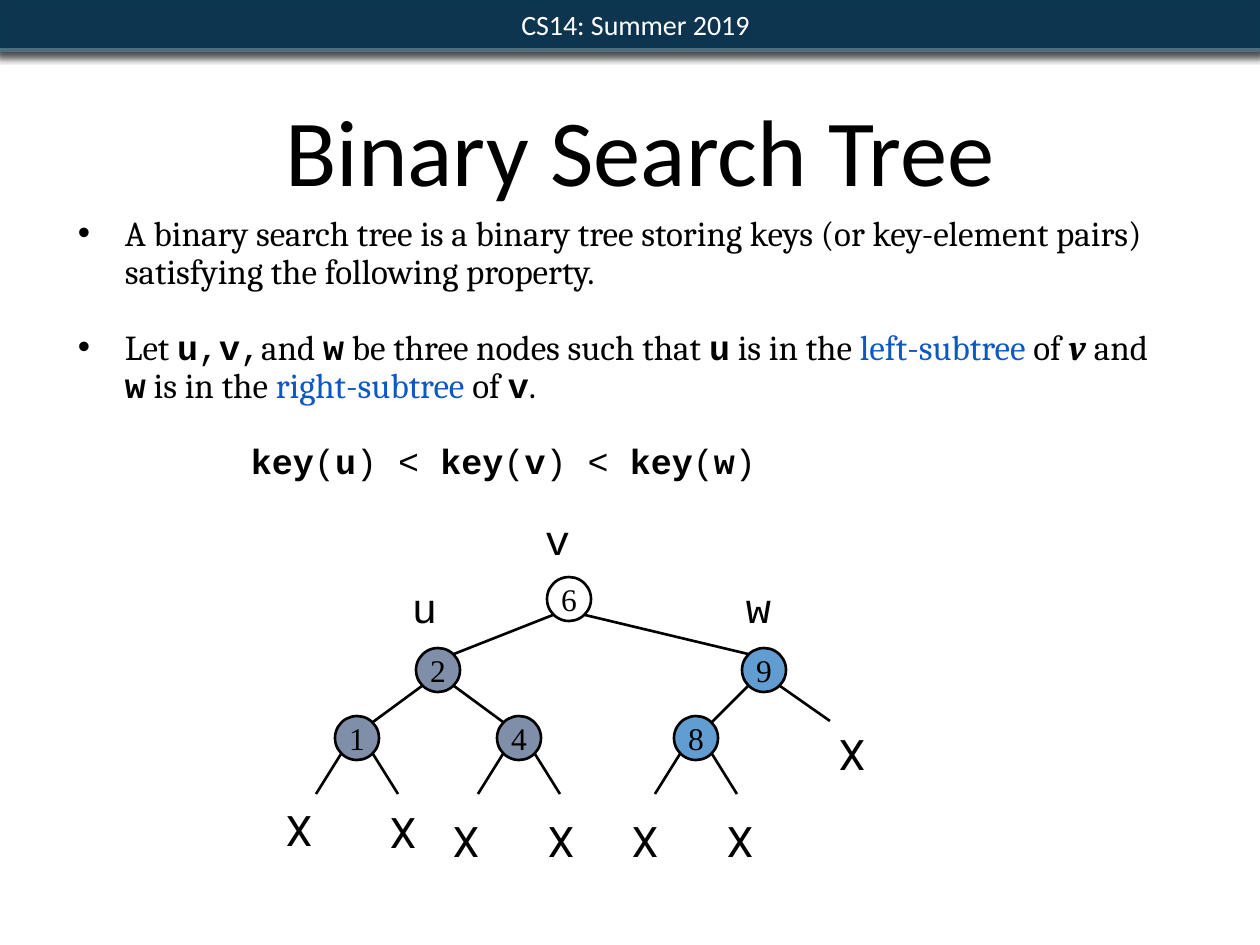
from lxml import etree
from pptx import Presentation, util as u
from pptx.dml.color import RGBColor
from pptx.enum import shapes, text
from pptx.oxml import ns

PX = 914400 / 126

BLACK = RGBColor(0x00, 0x00, 0x00)
WHITE = RGBColor(0xFF, 0xFF, 0xFF)
TEAL = RGBColor(0x42, 0x7A, 0x92)
NAVY = RGBColor(0x06, 0x2F, 0x4B)
LINK = RGBColor(0x0E, 0x58, 0xC4)
SLATE = RGBColor(0x7F, 0x8F, 0xA9)
SKY = RGBColor(0x62, 0x9D, 0xD1)

SERIF, MONO, SANS = "Cambria", "Courier New", "Calibri"
DIAMETER = 44
DIAGONAL = 16  # offset from a node's centre to its 45-degree rim point

# key: (centre x, centre y, fill)
NODES = {
    "6": (569, 599, None),
    "2": (438, 670, SLATE),
    "9": (764, 670, SKY),
    "1": (357, 738, SLATE),
    "4": (519, 738, SLATE),
    "8": (696, 738, SKY),
}
EDGES = [("6", "2"), ("6", "9"), ("2", "1"), ("2", "4"), ("9", "8")]
# (parent, side, horizontal run, vertical drop)
STUBS = [(key, side, 25, 40) for key in "148" for side in (-1, 1)]
STUBS.append(("9", 1, 50, 35))

NODE_LABELS = [("v", 539, 507), ("u", 406, 575), ("w", 740, 575)]
EMPTY_LABELS = [(280, 798), (384, 800), (447, 809), (542, 809),
                (626, 809), (721, 809), (833, 722)]


def px(*values):
    return [round(v * PX) for v in values]


def add_run(p, words, font, size, color=BLACK, bold=False, italic=False):
    r = p.add_run()
    r.text = words
    r.font.name, r.font.size = font, u.Pt(size)
    r.font.bold, r.font.italic = bold, italic
    r.font.color.rgb = color


def set_frame(tf, anchor, inset, wrap=True):
    tf.word_wrap = wrap
    tf.vertical_anchor = anchor
    tf.margin_left = tf.margin_top = tf.margin_right = tf.margin_bottom = px(inset)[0]


def add_text_box(slide, box, anchor, wrap=True):
    tf = slide.shapes.add_textbox(*px(*box)).text_frame
    set_frame(tf, anchor, 6, wrap)
    return tf


def add_shadow(sp, color, alpha):
    """Cast a soft shadow straight down."""
    effects = etree.SubElement(sp._element.spPr, ns.qn("a:effectLst"))
    shadow = etree.SubElement(effects, ns.qn("a:outerShdw"), blurRad="63500",
                              dist="25400", dir="5400000", rotWithShape="0")
    clr = etree.SubElement(shadow, ns.qn("a:srgbClr"), val=str(color))
    etree.SubElement(clr, ns.qn("a:alpha"), val=str(alpha * 1000))


def add_band(slide, box, color, shadow, shadow_alpha):
    sp = slide.shapes.add_shape(shapes.MSO_SHAPE.RECTANGLE, *px(*box))
    sp.fill.solid()
    sp.fill.fore_color.rgb = color
    sp.line.fill.background()
    add_shadow(sp, shadow, shadow_alpha)
    return sp


def add_header(slide):
    add_band(slide, (-5, -8, 1269, 60), TEAL, BLACK, 75)
    sp = add_band(slide, (-1, 0, 1264, 48), NAVY, RGBColor(0x5E, 0x5E, 0x5E), 50)
    clr = sp._element.spPr.find(".//" + ns.qn("a:srgbClr"))
    etree.SubElement(clr, ns.qn("a:alpha"), val="90000")
    set_frame(sp.text_frame, text.MSO_ANCHOR.MIDDLE, 8)
    p = sp.text_frame.paragraphs[0]
    p.alignment = text.PP_ALIGN.CENTER
    set_indent(p, 0, 9)
    add_run(p, "CS14: Summer 2019", SANS, 16, WHITE)


def add_title(slide):
    tf = add_text_box(slide, (126, 53, 1028, 158), text.MSO_ANCHOR.BOTTOM)
    p = tf.paragraphs[0]
    p.alignment = text.PP_ALIGN.CENTER
    p.line_spacing = u.Pt(58)
    add_run(p, "Binary Search Tree", SANS, 54)


def set_indent(p, left, first, bullet=None):
    pPr = p._p.get_or_add_pPr()
    pPr.set("marL", str(px(left)[0]))
    pPr.set("indent", str(px(first)[0]))
    if bullet:
        etree.SubElement(pPr, ns.qn("a:buFont"), typeface="Arial")
        etree.SubElement(pPr, ns.qn("a:buChar"), char=bullet)


def add_body(slide):
    tf = add_text_box(slide, (72, 210, 1102, 473), text.MSO_ANCHOR.TOP)
    plain, code, bold_code = (SERIF,), (MONO,), (MONO, BLACK, True)
    link = (SERIF, LINK)
    definition = [("A binary search tree is a binary tree storing keys "
                   "(or key-element pairs) satisfying the following property.", plain)]
    nodes = [("Let ", plain), ("u", bold_code), (",", code), ("v", bold_code),
             (",", code), ("and ", plain), ("w", bold_code),
             (" be three nodes such that ", plain), ("u", bold_code),
             (" is in the ", plain), ("left-subtree ", link), ("of ", plain),
             ("v", (SERIF, BLACK, True, True)), (" and ", plain), ("w", bold_code),
             (" is in the ", plain), ("right-subtree ", link), ("of ", plain),
             ("v", bold_code), (".", plain)]
    rule = []
    for name, tail in (("u", ") < "), ("v", ") < "), ("w", ")")):
        rule += [("key", bold_code), ("(", code), (name, bold_code), (tail, code)]

    rows = [(definition, 47, -47, "•"), (nodes, 47, -47, "•"), (rule, 173, 0, None)]
    for i, (runs, left, first, bullet) in enumerate(rows):
        p = tf.add_paragraph() if i else tf.paragraphs[0]
        p.line_spacing = 0.9
        if i:
            p.space_before = u.Pt(22)
        set_indent(p, left, first, bullet)
        for words, (font, *style) in runs:
            add_run(p, words, font, 20, *style)


def add_line(slide, x1, y1, x2, y2):
    line = slide.shapes.add_connector(shapes.MSO_CONNECTOR.STRAIGHT, *px(x1, y1, x2, y2))
    line.line.color.rgb = BLACK
    line.line.width = u.Pt(1.5)
    etree.SubElement(line._element.spPr, ns.qn("a:effectLst"))


def add_node(slide, key, x, y, fill):
    box = (x - DIAMETER / 2, y - DIAMETER / 2, DIAMETER, DIAMETER)
    sp = slide.shapes.add_shape(shapes.MSO_SHAPE.OVAL, *px(*box))
    sp.shadow.inherit = False
    if fill is None:
        sp.fill.background()
    else:
        sp.fill.solid()
        sp.fill.fore_color.rgb = fill
    sp.line.color.rgb = BLACK
    sp.line.width = u.Pt(1.5)
    set_frame(sp.text_frame, text.MSO_ANCHOR.MIDDLE, 0, wrap=False)
    p = sp.text_frame.paragraphs[0]
    p.alignment = text.PP_ALIGN.CENTER
    add_run(p, key, "Times New Roman", 18)


def add_label(slide, words, x, y, font):
    tf = add_text_box(slide, (x, y, 39, 63), text.MSO_ANCHOR.MIDDLE, wrap=False)
    add_run(tf.paragraphs[0], words, font, 24)


def add_tree(slide):
    for parent, child in EDGES:
        (x1, y1, _), (x2, y2, _) = NODES[parent], NODES[child]
        side = 1 if x2 > x1 else -1
        add_line(slide, x1 + side * DIAGONAL, y1 + DIAGONAL,
                 x2 - side * DIAGONAL, y2 - DIAGONAL)
    for parent, side, run, drop in STUBS:
        x, y, _ = NODES[parent]
        x, y = x + side * DIAGONAL, y + DIAGONAL
        add_line(slide, x, y, x + side * run, y + drop)
    for key, node in NODES.items():
        add_node(slide, key, *node)
    for name, x, y in NODE_LABELS:
        add_label(slide, name, x, y, MONO)
    for x, y in EMPTY_LABELS:
        add_label(slide, "X", x, y, "Roboto")


def main():
    prs = Presentation()
    prs.slide_width, prs.slide_height = px(1260, 945)
    slide = prs.slides.add_slide(prs.slide_layouts[6])
    add_header(slide)
    add_title(slide)
    add_body(slide)
    add_tree(slide)
    prs.save("out.pptx")


if __name__ == "__main__":
    main()
